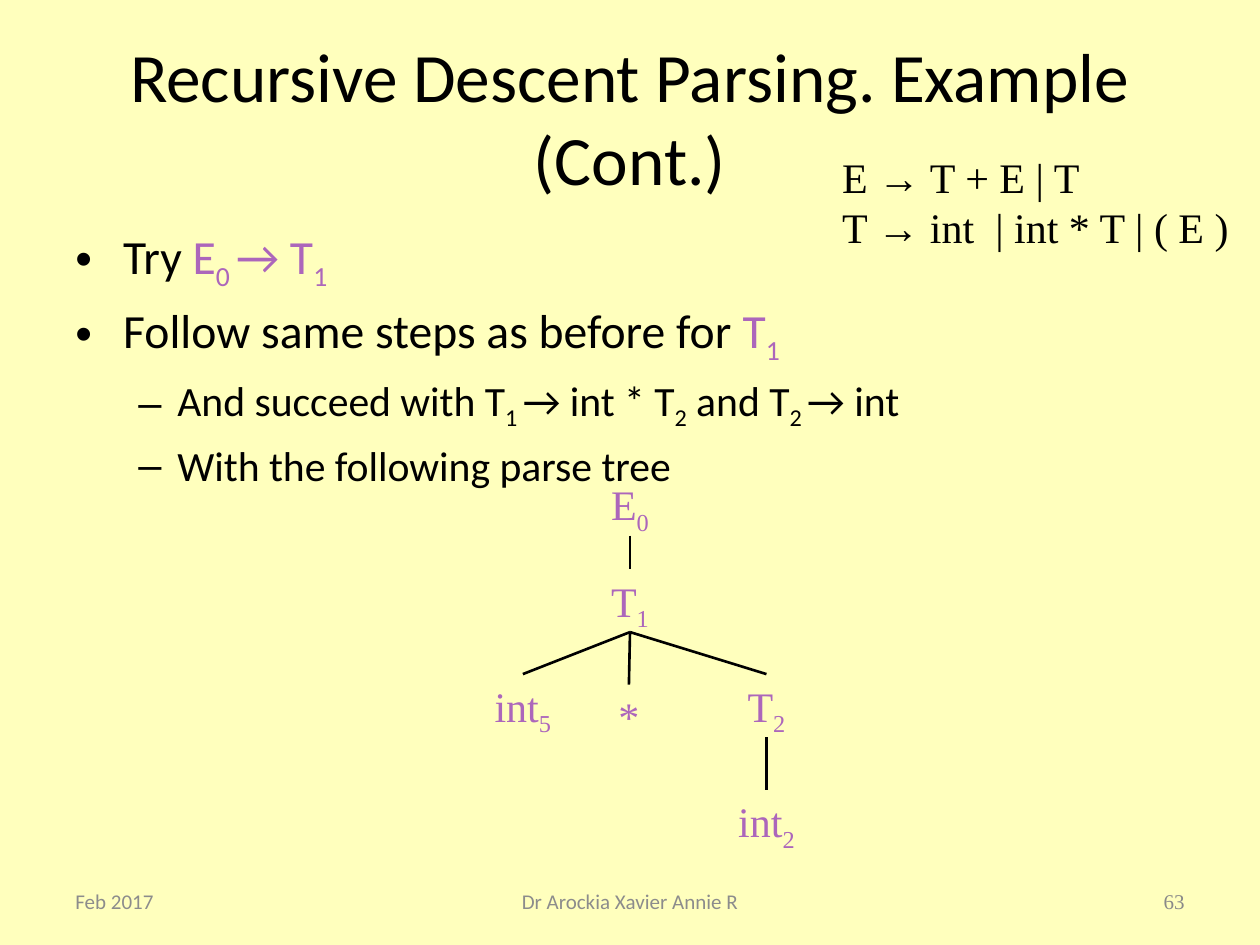
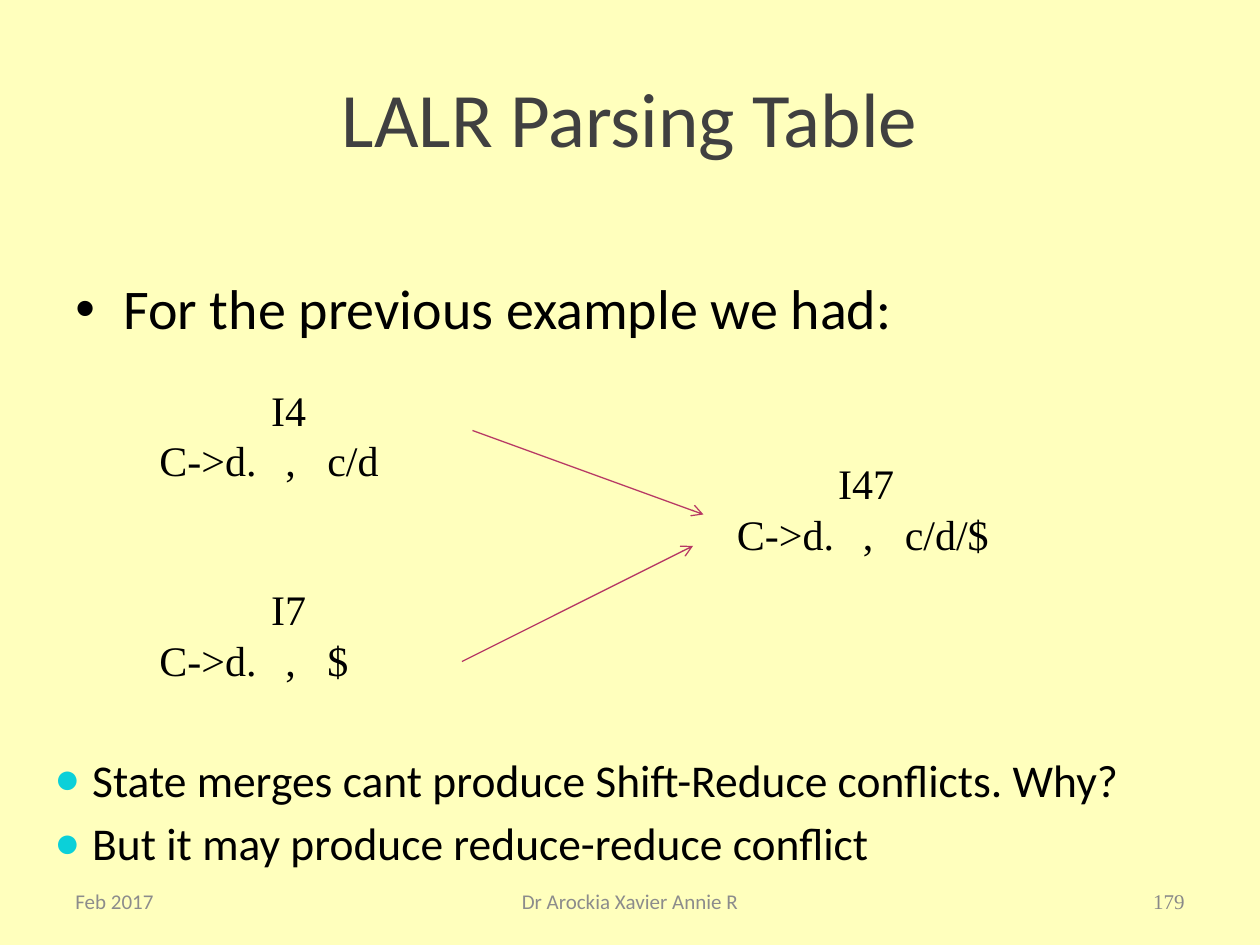
from dataclasses import dataclass

from lxml import etree
from pptx import Presentation
from pptx.dml.color import RGBColor
from pptx.enum.shapes import MSO_CONNECTOR
from pptx.enum.text import MSO_ANCHOR, PP_ALIGN
from pptx.oxml.ns import qn
from pptx.util import Inches, Pt

LEFT, CENTER, RIGHT = PP_ALIGN.LEFT, PP_ALIGN.CENTER, PP_ALIGN.RIGHT
TOP, MIDDLE = MSO_ANCHOR.TOP, MSO_ANCHOR.MIDDLE
STRAIGHT = MSO_CONNECTOR.STRAIGHT


@dataclass(frozen=True)
class Theme:
    # Colours
    paper: str = "FFFFBD"
    ink: str = "000000"
    soft_ink: str = "404040"
    symbol: str = "AC66BB"
    arrow: str = "B73965"
    dot: str = "0BD0D9"
    footer: str = "8C8C8C"
    number: str = "898989"
    # Fonts and sizes
    sans: str = "Calibri"
    serif: str = "Times New Roman"
    title_size: float = 44
    long_title_size: float = 39.6
    formula_size: float = 24
    footer_size: float = 12


@dataclass(frozen=True)
class Bullet:
    char: str
    size: float
    margin: float
    hang: float
    color: str = ""
    scale: int = 100


THEME = Theme()
POINT = Bullet("•", 27.2, 0.38, 0.38)
LARGE_POINT = Bullet("•", 32, 0.38, 0.38)
SUBPOINT = Bullet("–", 23.8, 0.81, 0.31)
DOT = Bullet("●", 26, 0.3, 0.3, THEME.dot, 95)


def cells(count):
    """The grid has 120 columns and 90 rows, twelve to the inch."""
    return Inches(count / 12)


def write(paragraph, text, *, size, font=THEME.sans, color=THEME.ink, align=LEFT):
    """Fill a paragraph: ^ toggles the symbol colour, ~ toggles subscript."""
    paragraph.alignment = align
    for i, part in enumerate(text.split("^")):
        for j, piece in enumerate(part.split("~")):
            if not piece:
                continue
            run = paragraph.add_run()
            run.text = piece
            run.font.size, run.font.name = Pt(size), font
            run.font.color.rgb = RGBColor.from_string(THEME.symbol if i % 2 else color)
            if j % 2:
                run._r.get_or_add_rPr().set("baseline", "-25000")


def set_bullet(paragraph, bullet):
    props = paragraph._p.get_or_add_pPr()
    props.set("marL", str(Inches(bullet.margin)))
    props.set("indent", str(-Inches(bullet.hang)))
    spacing = etree.SubElement(props, qn("a:spcBef"))
    etree.SubElement(spacing, qn("a:spcPct"), val="20000")
    if bullet.color:
        tint = etree.SubElement(props, qn("a:buClr"))
        etree.SubElement(tint, qn("a:srgbClr"), val=bullet.color)
    etree.SubElement(props, qn("a:buSzPct"), val=str(bullet.scale * 1000))
    etree.SubElement(props, qn("a:buFont"), typeface="Arial")
    etree.SubElement(props, qn("a:buChar"), char=bullet.char)


class Deck:
    def __init__(self, theme):
        self.theme = theme
        self.prs = Presentation()
        self.prs.slide_width, self.prs.slide_height = cells(120), cells(90)
        paper = self.prs.slide_master.background.fill
        paper.solid()
        paper.fore_color.rgb = RGBColor.from_string(theme.paper)
        self.slide = None

    def new_slide(self, title, number, **title_format):
        self.slide = self.prs.slides.add_slide(self.prs.slide_layouts[6])
        look = {"size": self.theme.title_size, "align": CENTER, **title_format}
        self.text((6, 3.6, 108, 15), [title], anchor=MIDDLE, **look)
        self.footer(number)

    def frame(self, box, anchor=TOP, wrap=True):
        frame = self.slide.shapes.add_textbox(*map(cells, box)).text_frame
        frame.word_wrap, frame.vertical_anchor = wrap, anchor
        return frame

    def paragraphs(self, frame, count):
        return [frame.paragraphs[0]] + [frame.add_paragraph() for _ in range(count - 1)]

    def text(self, box, lines, anchor=TOP, wrap=True, **look):
        frame = self.frame(box, anchor, wrap)
        for paragraph, line in zip(self.paragraphs(frame, len(lines)), lines):
            write(paragraph, line, **look)
        return frame

    def bullets(self, box, items):
        frame = self.frame(box)
        for paragraph, (bullet, line) in zip(self.paragraphs(frame, len(items)), items):
            write(paragraph, line, size=bullet.size)
            set_bullet(paragraph, bullet)

    def footer(self, number):
        t = self.theme
        for left, width, line, align, font, color in (
            (6, 28, "Feb 2017", LEFT, t.sans, t.footer),
            (41, 38, "Dr Arockia Xavier Annie R", CENTER, t.sans, t.footer),
            (86, 28, number, RIGHT, t.serif, t.number),
        ):
            self.text((left, 83.4, width, 4.8), [line], anchor=MIDDLE,
                      size=t.footer_size, font=font, color=color, align=align)

    def line(self, start, end, color, width, arrow=False):
        line = self.slide.shapes.add_connector(STRAIGHT, *map(cells, (*start, *end)))
        line.line.color.rgb = RGBColor.from_string(color)
        line.line.width = Pt(width)
        if arrow:
            etree.SubElement(line.line._get_or_add_ln(), qn("a:tailEnd"), type="arrow")
        etree.SubElement(line._element.spPr, qn("a:effectLst"))

    def tree(self, nodes, edges, height=6):
        """Nodes are (label, centre column, top row, width)."""
        for label, x, y, width in nodes.values():
            self.text((x - width / 2, y, width, height), [f"^{label}^"], wrap=False,
                      size=self.theme.formula_size, font=self.theme.serif, align=CENTER)
        for parent, child in edges:
            _, x, y, _ = nodes[parent]
            self.line((x, y + height), nodes[child][1:3], self.theme.ink, 1.5)

    def item_set(self, left, top, state, item):
        look = {"size": self.theme.formula_size, "font": self.theme.serif}
        frame = self.text((left, top, 27, 15.7), [state], align=CENTER, **look)
        write(frame.add_paragraph(), item, **look)

    def grammar(self, box, rules):
        frame = self.text(box, rules, wrap=False,
                          size=self.theme.formula_size, font=self.theme.serif)
        frame.margin_left += cells(6)


deck = Deck(THEME)

# Slide 1: parse tree of the recursive descent example
deck.new_slide("Recursive Descent Parsing. Example (Cont.)", "63",
               size=THEME.long_title_size)
deck.bullets((6, 21, 109, 21), [
    (POINT, "Try ^E~0 ~→ T~1~^"),
    (POINT, "Follow same steps as before for ^T~1~^"),
    (SUBPOINT, "And succeed with T~1 ~→ int * T~2~ and T~2 ~→ int"),
    (SUBPOINT, "With the following parse tree"),
])
deck.tree(
    {
        "root": ("E~0~", 60, 45, 6.2),
        "term": ("T~1~", 60, 54.2, 6.2),
        "factor": ("int~5~", 49.8, 64.2, 7.9),
        "times": ("*", 59.9, 65.2, 4.4),
        "rest": ("T~2~", 73, 64.2, 6.2),
        "leaf": ("int~2~", 73, 75.2, 7.9),
    },
    [("root", "term"), ("term", "factor"), ("term", "times"),
     ("term", "rest"), ("rest", "leaf")],
)
deck.grammar((73, 13.8, 45.6, 15.7), ["E → T + E | T", "T → int  | int * T | ( E )"])

# Slide 2: two item sets merge into one
deck.new_slide("LALR Parsing Table", "179", color=THEME.soft_ink)
deck.bullets((6, 25.5, 108, 14.6), [(LARGE_POINT, "For the previous example we had:")])
deck.item_set(14, 36, "I4", "C->d.\t,   c/d")
deck.item_set(14, 55, "I7", "C->d.\t,   $")
deck.item_set(69, 43, "I47", "C->d.\t,   c/d/$")
for start, end in (((45, 41), (67, 49)), ((44, 63), (66, 52))):
    deck.line(start, end, THEME.arrow, 0.75, arrow=True)
deck.bullets((4, 71, 108, 14.6), [
    (DOT, "State merges cant produce Shift-Reduce conflicts. Why?"),
    (DOT, "But it may produce reduce-reduce conflict"),
])

deck.prs.save("out.pptx")
